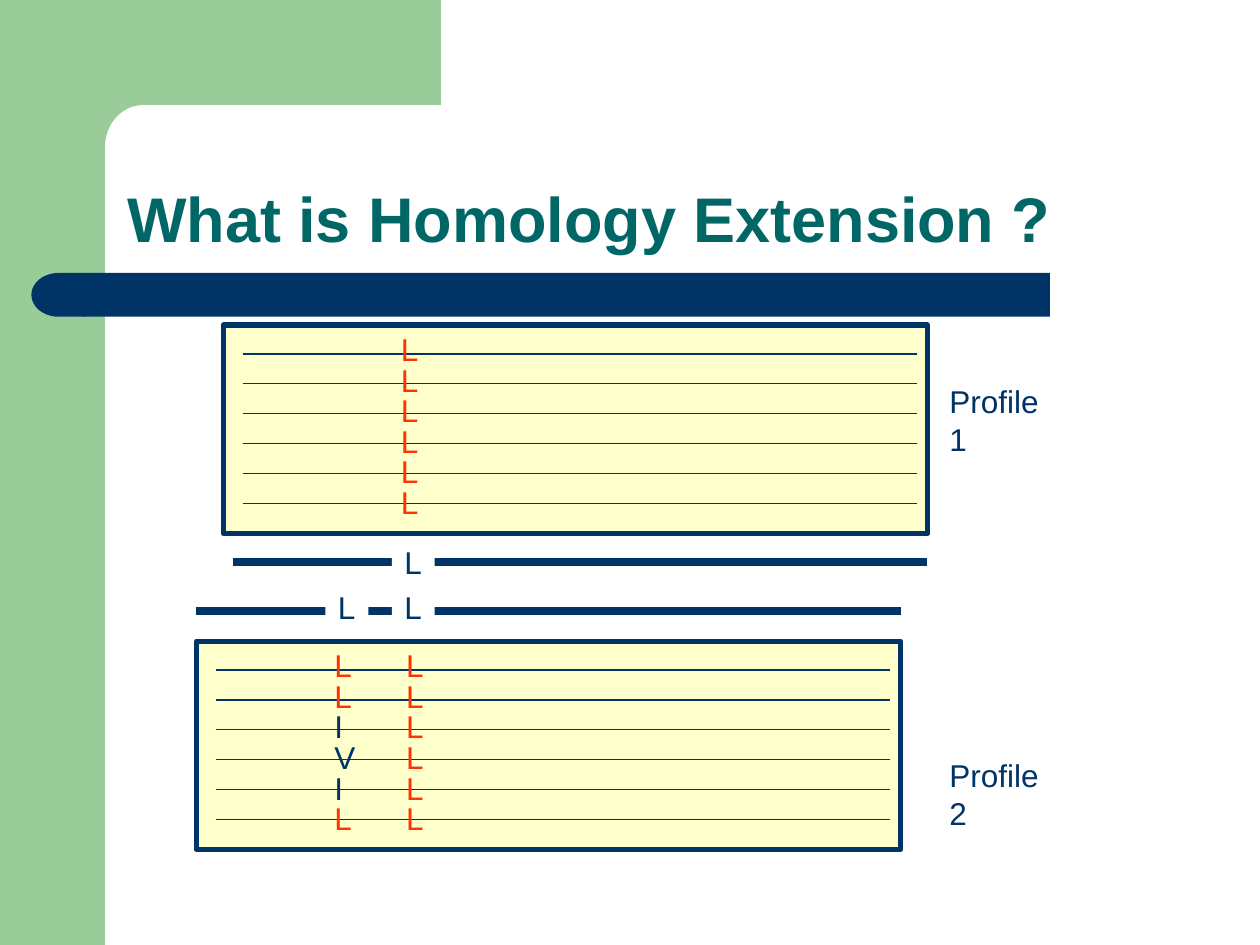
from math import cos, sin, pi

from lxml.etree import SubElement
from pptx import Presentation
from pptx.dml.color import RGBColor
from pptx.enum.shapes import MSO_CONNECTOR, MSO_SHAPE
from pptx.enum.text import MSO_ANCHOR, MSO_AUTO_SIZE, PP_ALIGN
from pptx.oxml.ns import qn
from pptx.util import Pt

NAVY, GREEN, TEAL = "003366", "99CC99", "006666"
CREAM, RED, WHITE = "FFFFCC", "FF3300", "FFFFFF"
WIDTHS = {"L": 24.5, "I": 19.4, "V": 26}


def color(code):
    return RGBColor.from_string(code)


def write(frame, text, size=18, ink=NAVY, bold=False, space=None):
    para = frame.paragraphs[0]
    para.text = text
    para.alignment = PP_ALIGN.LEFT
    if space:
        para.line_spacing = space
    font = para.font
    font.name, font.size, font.bold = "Arial", Pt(size), bold
    font.color.rgb = color(ink)


class Board:
    """Style and current slide; all lengths are in points."""

    def __init__(self, slide):
        self.slide = slide
        self.shapes = slide.shapes

    def paint(self, shape, fill, edge=None):
        shape.shadow.inherit = False
        shape.fill.solid()
        shape.fill.fore_color.rgb = color(fill)
        if edge:
            shape.line.color.rgb = color(edge)
            shape.line.width = Pt(3)
        else:
            shape.line.fill.background()

    def block(self, x, y, w, h, fill, edge=None, kind=MSO_SHAPE.RECTANGLE):
        shape = self.shapes.add_shape(kind, Pt(x), Pt(y), Pt(w), Pt(h))
        self.paint(shape, fill, edge)
        return shape

    def outline(self, points, fill):
        first, *rest = [(Pt(x), Pt(y)) for x, y in points]
        pen = self.shapes.build_freeform(*first)
        pen.add_line_segments(rest, close=True)
        self.paint(pen.convert_to_shape(), fill)

    def rule(self, left, right, y, width=0.75):
        line = self.shapes.add_connector(
            MSO_CONNECTOR.STRAIGHT, Pt(left), Pt(y), Pt(right), Pt(y))
        line.line.color.rgb = color(NAVY)
        line.line.width = Pt(width)
        SubElement(line._element.spPr, qn("a:effectLst"))

    def label(self, text, x, y, w, ink=NAVY, fill=None):
        box = self.shapes.add_textbox(Pt(x), Pt(y), Pt(w), Pt(29))
        if fill:
            self.paint(box, fill)
        frame = box.text_frame
        frame.word_wrap = False
        frame.auto_size = MSO_AUTO_SIZE.SHAPE_TO_FIT_TEXT
        write(frame, text, ink=ink)

    def title(self, text, x, y, w, h):
        box = self.shapes.title
        box.left, box.top, box.width, box.height = Pt(x), Pt(y), Pt(w), Pt(h)
        frame = box.text_frame
        frame.word_wrap = True
        frame.auto_size = MSO_AUTO_SIZE.NONE
        frame.vertical_anchor = MSO_ANCHOR.BOTTOM
        write(frame, text, size=36, ink=TEAL, bold=True, space=0.9)

    def profile(self, x, y, columns):
        """Panel of six sequences with aligned residues."""
        self.block(x, y, 402.5, 119, CREAM, NAVY)
        for row in range(6):
            self.rule(x + 11, x + 396.5, y + 16.5 + row * 17.05)
        for left, letters in columns:
            for row, char in enumerate(letters):
                ink = RED if char == "L" else NAVY
                self.label(char, left, y - 0.8 + row * 17.5, WIDTHS[char], ink)


def main():
    deck = Presentation()
    deck.slide_width, deck.slide_height = Pt(720), Pt(540)
    board = Board(deck.slides.add_slide(deck.slide_layouts[5]))

    # Green corner with a rounded inner edge
    board.block(0, 0, 60, 540, GREEN)
    turns = [pi / 2 * step / 16 for step in range(17)]
    arc = [(82 - 22 * sin(a), 84 - 24 * cos(a)) for a in turns]
    board.outline([(36, 0), (252, 0), (252, 60), *arc, (60, 92), (36, 92)], GREEN)

    # Title and navy bar
    board.block(48, 156, 552, 25, NAVY)
    cap = board.block(18, 156, 31, 25, NAVY, kind=MSO_SHAPE.FLOWCHART_DELAY)
    cap._element.spPr.xfrm.set("flipH", "1")
    board.title("What is Homology Extension ?", 65.5, 71.3, 613, 78.5)

    # The two sequences being aligned
    board.rule(133, 530, 321, 4.5)
    board.rule(112, 515, 349.2, 4.5)
    for x, y in [(186, 332.6), (224, 332.6), (224, 307)]:
        board.label("L", x, y, WIDTHS["L"], fill=WHITE)

    # Profiles with their names
    board.profile(112.2, 366.4, [(225, "LLLLLL"), (184, "LLIVIL")])
    board.profile(127.6, 185.8, [(222, "LLLLLL")])
    board.label("Profile 1", 535.5, 214.8, 80)
    board.label("Profile 2", 535.5, 428.6, 80)

    deck.save("out.pptx")


if __name__ == "__main__":
    main()
